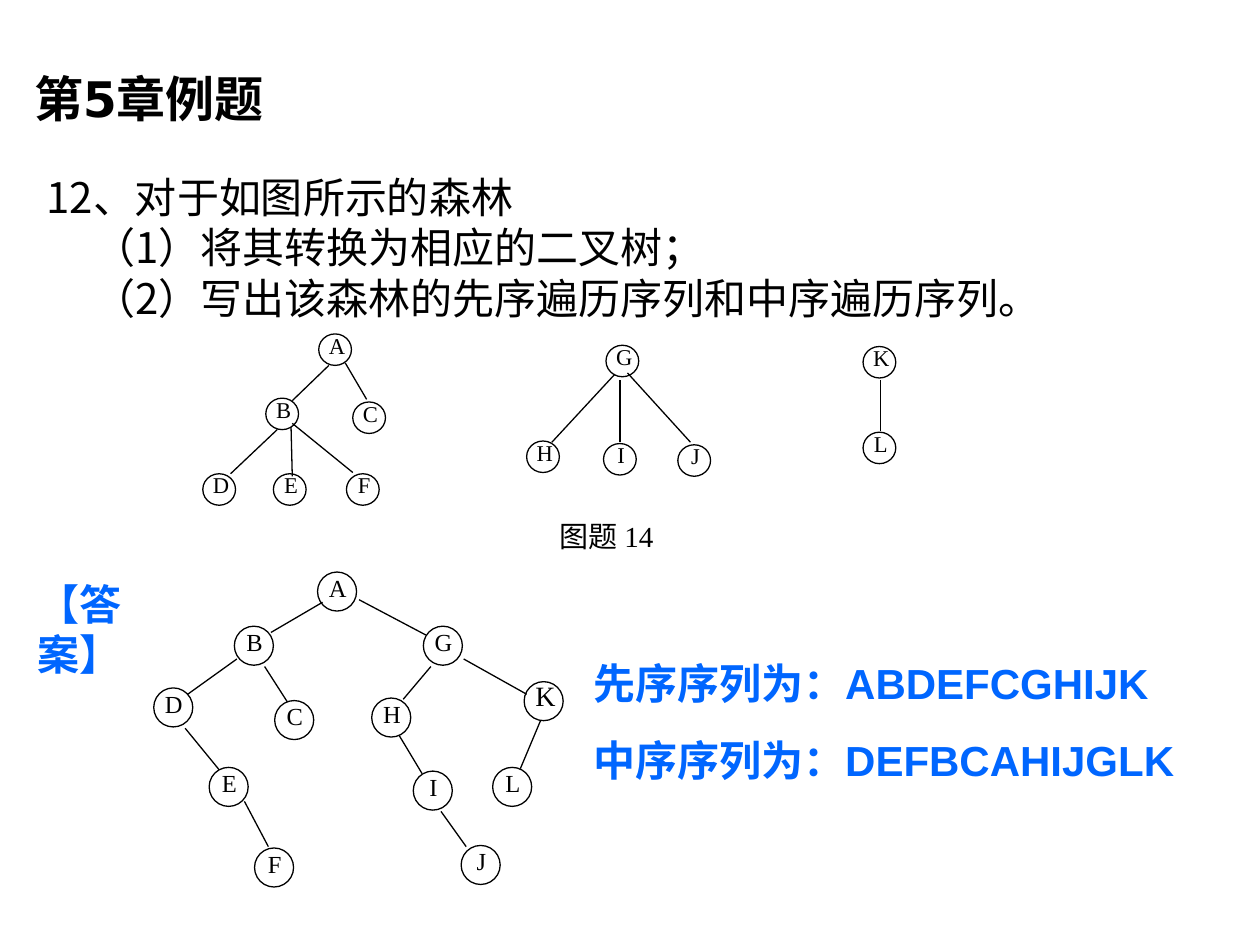
from dataclasses import dataclass
from typing import Any

from lxml import etree
from pptx import Presentation
from pptx import util as u
from pptx.dml.color import RGBColor
from pptx.enum import shapes, text
from pptx.oxml import ns

BLACK, WHITE, BLUE = "000000", "FFFFFF", "0066FF"
SERIF, SANS, HEADING, CJK = "Times New Roman", "Arial", "DejaVu Sans", "Noto Sans CJK SC"

FOREST_NODES = {
    "A": (2.53, 2.65), "B": (2.11, 3.16), "C": (2.8, 3.19), "E": (2.17, 3.76),
    "F": (2.75, 3.76), "D": (1.61, 3.76), "G": (4.81, 2.74), "H": (4.18, 3.5),
    "I": (4.79, 3.52), "J": (5.38, 3.53), "K": (6.85, 2.75), "L": (6.85, 3.43),
}
FOREST_EDGES = [
    (2.61, 2.9, 2.32, 3.18), (2.74, 2.88, 2.91, 3.17), (2.2, 3.41, 1.83, 3.76),
    (2.31, 3.39, 2.32, 3.78), (2.32, 3.36, 2.8, 3.75), (4.88, 2.97, 4.38, 3.51),
    (4.92, 3.02, 4.92, 3.51), (4.98, 2.96, 5.48, 3.51), (6.99, 3.02, 6.99, 3.42),
]
BINARY_NODES = {
    "A": (2.52, 4.54), "B": (1.86, 4.97), "C": (2.18, 5.56), "E": (1.66, 6.09),
    "F": (2.02, 6.73), "D": (1.22, 5.46), "G": (3.36, 4.97), "H": (2.95, 5.54),
    "I": (3.28, 6.12), "J": (3.66, 6.71), "K": (4.16, 5.41), "L": (3.91, 6.09),
}
BINARY_EDGES = [
    (2.56, 4.78, 2.15, 5.02), (1.88, 5.23, 1.49, 5.51), (2.1, 5.29, 2.28, 5.57),
    (1.47, 5.78, 1.74, 6.11), (1.94, 6.36, 2.13, 6.72), (2.85, 4.76, 3.38, 5.04),
    (3.68, 5.23, 4.18, 5.51), (3.42, 5.29, 3.2, 5.55), (3.17, 5.84, 3.35, 6.14),
    (4.29, 5.72, 4.13, 6.1), (3.5, 6.44, 3.7, 6.72),
]


def rgb(value):
    return RGBColor.from_string(value)


def inches(values):
    return [u.Inches(value) for value in values]


@dataclass
class NodeStyle:
    oval: tuple
    label: tuple
    size: float
    spacing: float


FOREST = NodeStyle((0.26, 0.25), (0.08, 0.04, 0.12, 0.16), 12.9, 0.7)
BINARY = NodeStyle((0.31, 0.31), (0.09, 0.05, 0.14, 0.2), 14, 0.8)
BINARY_K = NodeStyle((0.31, 0.31), (0.09, 0.05, 0.14, 0.2), 16, 0.7)


@dataclass
class TreeSlide:
    slide: Any
    line_width: float = 0.75

    def add_words(self, paragraph, wording, font, size, color=BLACK, bold=False):
        run = paragraph.add_run()
        run.text = wording
        run.font.name, run.font.size, run.font.bold = font, u.Pt(size), bold
        run.font.color.rgb = rgb(color)

    def title(self, wording, place):
        heading = self.slide.shapes.title
        heading.left, heading.top, heading.width, heading.height = inches(place)
        frame = heading.text_frame
        frame.auto_size = text.MSO_AUTO_SIZE.NONE
        frame.vertical_anchor = text.MSO_ANCHOR.MIDDLE
        frame.paragraphs[0].alignment = text.PP_ALIGN.LEFT
        self.add_words(frame.paragraphs[0], wording, HEADING, 28, bold=True)

    def passage(self, lines, place, font, color=BLACK, bold=False, gap=0, indent=0,
                align=text.PP_ALIGN.JUSTIFY):
        frame = self.slide.shapes.add_textbox(*inches(place)).text_frame
        frame.word_wrap = True
        for index, wording in enumerate(lines):
            paragraph = frame.add_paragraph() if index else frame.paragraphs[0]
            paragraph.alignment = align
            if index:
                paragraph.space_before = u.Pt(gap)
                if indent:
                    paragraph._p.get_or_add_pPr().set("marL", str(u.Inches(indent)))
            self.add_words(paragraph, wording, font, 24, color, bold)

    def label(self, parent, wording, place, size, spacing):
        box = parent.add_shape(shapes.MSO_SHAPE.RECTANGLE, *inches(place))
        box.shadow.inherit = False
        box.fill.solid()
        box.fill.fore_color.rgb = rgb(WHITE)
        box.line.fill.background()
        frame = box.text_frame
        frame.margin_left = frame.margin_top = frame.margin_right = frame.margin_bottom = 0
        frame.vertical_anchor = text.MSO_ANCHOR.TOP
        paragraph = frame.paragraphs[0]
        paragraph.alignment = text.PP_ALIGN.CENTER
        paragraph.line_spacing = spacing
        self.add_words(paragraph, wording, SERIF, size)

    def node(self, parent, letter, corner, style):
        oval = parent.add_shape(shapes.MSO_SHAPE.OVAL, *inches(corner + style.oval))
        oval.shadow.inherit = False
        oval.fill.solid()
        oval.fill.fore_color.rgb = rgb(WHITE)
        oval.line.color.rgb = rgb(BLACK)
        oval.line.width = u.Pt(self.line_width)
        dx, dy, width, height = style.label
        place = (corner[0] + dx, corner[1] + dy, width, height)
        self.label(parent, letter, place, style.size, style.spacing)

    def edge(self, parent, ends):
        branch = parent.add_connector(shapes.MSO_CONNECTOR.STRAIGHT, *inches(ends))
        branch.line.color.rgb = rgb(BLACK)
        branch.line.width = u.Pt(self.line_width)
        etree.SubElement(branch._element.spPr, ns.qn("a:effectLst"))

    def tree(self, nodes, edges, style, special=None):
        parent = self.slide.shapes.add_group_shape().shapes
        for letter, corner in nodes.items():
            self.node(parent, letter, corner, (special or {}).get(letter, style))
        for ends in edges:
            self.edge(parent, ends)
        return parent


def main():
    deck = Presentation()
    deck.slide_width, deck.slide_height = inches((10, 7.5))
    page = TreeSlide(deck.slides.add_slide(deck.slide_layouts[5]))

    page.title("第5章例题", (0.17, 0.47, 2.23, 0.62))
    page.passage(
        ["12、对于如图所示的森林", "（1）将其转换为相应的二叉树；",
         "（2）写出该森林的先序遍历序列和中序遍历序列。"],
        (0.27, 1.31, 9.33, 1.3), CJK, indent=0.37)
    page.passage(["【答案】"], (0.2, 4.54, 1.42, 0.9), SANS, BLUE, True,
                 align=text.PP_ALIGN.LEFT)
    forest = page.tree(FOREST_NODES, FOREST_EDGES, FOREST)
    page.label(forest, "图题 14", (4.15, 4.18, 1.33, 0.22), 16.6, 0.76)
    page.tree(BINARY_NODES, BINARY_EDGES, BINARY, {"K": BINARY_K})
    page.passage(["先序序列为：ABDEFCGHIJK", "中序序列为：DEFBCAHIJGLK"],
                 (4.61, 5.17, 5.17, 1.11), SANS, BLUE, True, gap=15)

    deck.save("out.pptx")


if __name__ == "__main__":
    main()
